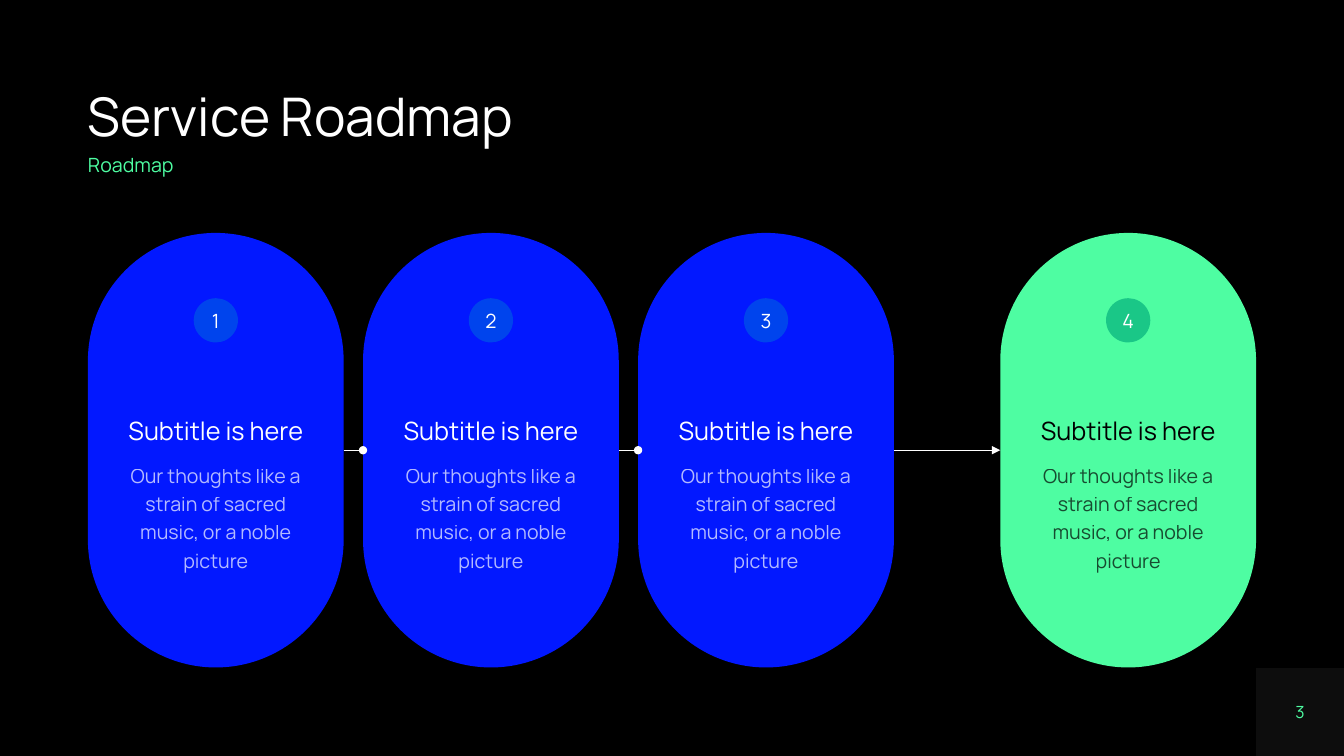
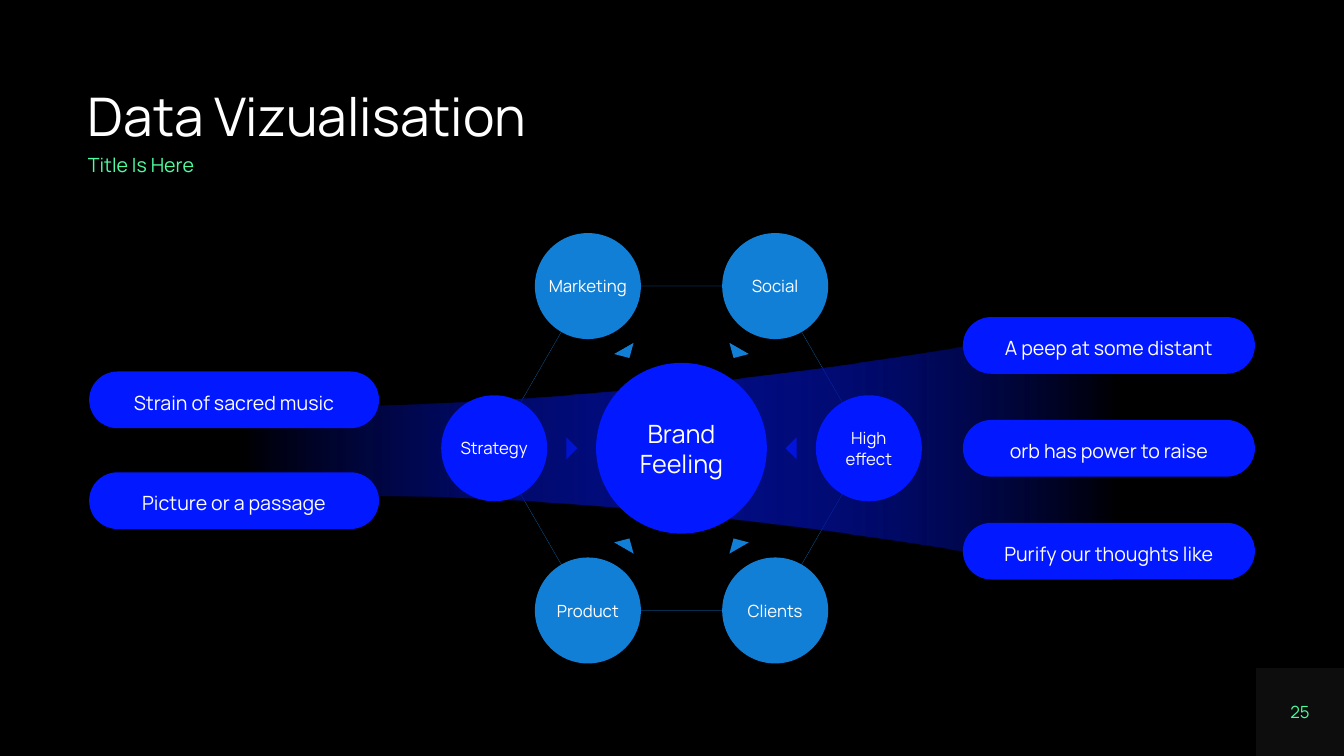
import math
from dataclasses import dataclass

import lxml.etree
import pptx
import pptx.dml.color
import pptx.enum.shapes
import pptx.enum.text
import pptx.oxml.ns
import pptx.util

Pt = pptx.util.Pt
RGB = pptx.dml.color.RGBColor
qn = pptx.oxml.ns.qn
PRESET = pptx.enum.shapes.MSO_SHAPE
ALIGN = pptx.enum.text.PP_ALIGN
ANCHOR = pptx.enum.text.MSO_ANCHOR

# Shared look
BLACK = RGB(0x00, 0x00, 0x00)
WHITE = RGB(0xFF, 0xFF, 0xFF)
GREY = RGB(0x80, 0x80, 0x80)
BLUE = RGB(0x02, 0x18, 0xFF)
BADGE_BLUE = RGB(0x00, 0x44, 0xED)
SKY = RGB(0x11, 0x7F, 0xD6)
GREEN = RGB(0x4E, 0xFD, 0xA2)
BADGE_GREEN = RGB(0x1A, 0xC7, 0x87)
FONT = "Manrope"
WIDTH, HEIGHT, MARGIN = 960, 540, 62.8

Point = tuple[float, float]


@dataclass
class Step:
    left: float
    fill: RGB
    badge_fill: RGB
    text_color: RGB
    arrowhead: str = ""


@dataclass
class Satellite:
    label: str
    angle: int
    color: RGB


@dataclass
class PillStack:
    left: float
    width: float
    middle: float
    pitch: float
    labels: list[str]


# Roadmap
STEP_WIDTH, STEP_HEIGHT, STEP_TOP, STEP_PITCH = 182.7, 310.4, 166.4, 196.5
BADGE_SIZE, BADGE_TOP = 31.6, 213
STEPS = [Step(MARGIN + i * STEP_PITCH, BLUE, BADGE_BLUE, WHITE, head)
         for i, head in enumerate(["oval", "oval", "triangle"])]
STEPS.append(Step(WIDTH - MARGIN - STEP_WIDTH, GREEN, BADGE_GREEN, BLACK))

# Hub diagram
HUB_X, HUB_Y, HUB_SIZE = 486.8, 320.2, 122
ORBIT, SATELLITE_SIZE, PILL_HEIGHT = 133.8, 75.7, 40.5
POINTER = [(74.4, 0), (82.3, -8), (82.3, 8)]
SATELLITES = [
    Satellite("High effect", 0, BLUE),
    Satellite("Clients", 60, SKY),
    Satellite("Product", 120, SKY),
    Satellite("Strategy", 180, BLUE),
    Satellite("Marketing", 240, SKY),
    Satellite("Social", 300, SKY),
]
PILL_STACKS = [
    PillStack(63.7, 207.1, 321.6, 72,
              ["Strain of sacred music", "Picture or a passage"]),
    PillStack(687.8, 208.6, HUB_Y, 73.5,
              ["A peep at some distant", "orb has power to raise",
               "Purify our thoughts like"]),
]
BEAM_TOP = [(170.6, 291.6), (410.4, 290.9), (613.4, 264.2), (800.6, 226.8)]
BEAM_BOTTOM = [(800.6, 414), (559.4, 367.2), (348.5, 347.8), (170.6, 355.7)]


def add_child(parent, tag: str, **attributes):
    return lxml.etree.SubElement(parent, qn(tag), attributes)


def fade_last_color(shape, percent: int) -> None:
    color = list(shape.element.iter(qn("a:srgbClr")))[-1]
    add_child(color, "a:alpha", val=str(percent * 1000))


def write(shape, text: str, *, size: float, color: RGB, align=ALIGN.CENTER,
          spacing: float = 1.0, before: float = 0, wrap: bool = True,
          top_inset: float = 0, extra: bool = False) -> None:
    """Set the shape's text, or add one more paragraph if extra."""
    frame = shape.text_frame
    if extra:
        paragraph = frame.add_paragraph()
    else:
        paragraph = frame.paragraphs[0]
        frame.auto_size = pptx.enum.text.MSO_AUTO_SIZE.NONE
        frame.word_wrap = wrap
        frame.vertical_anchor = ANCHOR.MIDDLE
        frame.margin_left = frame.margin_right = frame.margin_bottom = 0
        frame.margin_top = Pt(top_inset)
    paragraph.alignment = align
    paragraph.line_spacing = spacing
    paragraph.space_before = Pt(before)
    run = paragraph.add_run()
    run.text = text
    run.font.name = FONT
    run.font.size = Pt(size)
    run.font.color.rgb = color


def place(shape, left: float, top: float, width: float, height: float) -> None:
    shape.left, shape.top = Pt(left), Pt(top)
    shape.width, shape.height = Pt(width), Pt(height)


def add_preset(slide, preset, left: float, top: float, width: float,
               height: float, fill: RGB):
    shape = slide.shapes.add_shape(preset, Pt(left), Pt(top), Pt(width), Pt(height))
    shape.shadow.inherit = False
    shape.fill.solid()
    shape.fill.fore_color.rgb = fill
    shape.line.fill.background()
    if preset == PRESET.ROUNDED_RECTANGLE:
        shape.adjustments[0] = 0.5
    return shape


def add_circle(slide, x: float, y: float, size: float, fill: RGB):
    return add_preset(slide, PRESET.OVAL, x - size / 2, y - size / 2, size, size, fill)


def add_outline(slide, points: list[Point]):
    corners = [(Pt(x), Pt(y)) for x, y in points]
    builder = slide.shapes.build_freeform(*corners[0])
    builder.add_line_segments(corners[1:], close=True)
    shape = builder.convert_to_shape()
    shape.shadow.inherit = False
    return shape


def add_arrow(slide, start: float, end: float, y: float, head: str) -> None:
    arrow = slide.shapes.add_connector(
        pptx.enum.shapes.MSO_CONNECTOR.STRAIGHT, Pt(start), Pt(y), Pt(end), Pt(y))
    arrow.line.color.rgb = WHITE
    arrow.line.width = Pt(0.5)
    properties = arrow.element.spPr
    add_child(properties.find(qn("a:ln")), "a:tailEnd", type=head)
    add_child(properties, "a:effectLst")


def add_page(deck, title: str, subtitle: str, number: str):
    """Start a slide with its title, subtitle and page number."""
    slide = deck.slides.add_slide(deck.slide_layouts[0])
    corner = add_preset(slide, PRESET.RECTANGLE, WIDTH - MARGIN, HEIGHT - MARGIN,
                        MARGIN, MARGIN, GREY)
    fade_last_color(corner, 10)
    write(corner, number, size=12, color=GREEN)

    heading, subheading = slide.placeholders
    place(heading, MARGIN, 64.1, WIDTH - 2 * MARGIN, 41.8)
    write(heading, title, size=38, color=WHITE, align=ALIGN.LEFT, spacing=0.9)
    place(subheading, MARGIN, 111.4, 151.2, 15.1)
    write(subheading, subtitle, size=14, color=GREEN, align=ALIGN.LEFT, spacing=0.9)
    return slide


def around_hub(x: float, y: float, angle: int) -> Point:
    turn = math.radians(angle)
    return (HUB_X + x * math.cos(turn) - y * math.sin(turn),
            HUB_Y + x * math.sin(turn) + y * math.cos(turn))


def curve(controls: list[Point], pieces: int = 24) -> list[Point]:
    """Sample a cubic Bezier curve."""
    def at(t: float, axis: int) -> float:
        return sum(math.comb(3, k) * (1 - t) ** (3 - k) * t ** k * control[axis]
                   for k, control in enumerate(controls))
    return [(at(i / pieces, 0), at(i / pieces, 1)) for i in range(pieces + 1)]


def add_beam(slide) -> None:
    beam = add_outline(slide, curve(BEAM_TOP) + curve(BEAM_BOTTOM))
    beam.line.fill.background()
    beam.fill.gradient()
    beam.fill.gradient_angle = 0
    stops = beam.element.spPr.find(".//" + qn("a:gsLst"))
    for stop in list(stops):
        stops.remove(stop)
    for position, color, opacity in [(0, BLACK, 100), (52, BLUE, 50), (100, BLACK, 100)]:
        stop = add_child(stops, "a:gs", pos=str(position * 1000))
        tint = add_child(stop, "a:srgbClr", val=str(color))
        add_child(tint, "a:alpha", val=str(opacity * 1000))


def build_roadmap(deck) -> None:
    slide = add_page(deck, "Service Roadmap", "Roadmap", "3")
    for number, step in enumerate(STEPS, 1):
        pill = add_preset(slide, PRESET.ROUNDED_RECTANGLE, step.left, STEP_TOP,
                          STEP_WIDTH, STEP_HEIGHT, step.fill)
        write(pill, "Subtitle is here", size=18, color=step.text_color,
              spacing=1.2, top_inset=57.6)
        write(pill, "Our thoughts like a strain of sacred music, or a noble picture",
              size=14, color=step.text_color, spacing=1.2, before=10, extra=True)
        fade_last_color(pill, 70)
        badge = add_circle(slide, step.left + STEP_WIDTH / 2,
                           BADGE_TOP + BADGE_SIZE / 2, BADGE_SIZE, step.badge_fill)
        write(badge, str(number), size=14, color=WHITE)

    # Links between neighbouring steps
    for step, following in zip(STEPS, STEPS[1:]):
        add_arrow(slide, step.left + STEP_WIDTH, following.left,
                  STEP_TOP + STEP_HEIGHT / 2, step.arrowhead)


def build_hub(deck) -> None:
    slide = add_page(deck, "Data Vizualisation", "Title Is Here", "25")

    # Hexagon, pointers and beam lie behind the circles
    hexagon = add_outline(slide, [around_hub(ORBIT, 0, s.angle) for s in SATELLITES])
    hexagon.fill.background()
    hexagon.line.color.rgb = SKY
    hexagon.line.width = Pt(0.1)
    for satellite in SATELLITES:
        pointer = add_outline(
            slide, [around_hub(x, y, satellite.angle) for x, y in POINTER])
        pointer.fill.solid()
        pointer.fill.fore_color.rgb = satellite.color
        pointer.line.fill.background()
    add_beam(slide)

    # Hub and satellites
    hub = add_circle(slide, HUB_X, HUB_Y, HUB_SIZE, BLUE)
    write(hub, "Brand Feeling", size=18, color=WHITE)
    for satellite in SATELLITES:
        circle = add_circle(slide, *around_hub(ORBIT, 0, satellite.angle),
                            SATELLITE_SIZE, satellite.color)
        write(circle, satellite.label, size=12, color=WHITE,
              wrap=" " in satellite.label)

    # Side pills, spread evenly about each stack's middle
    for stack in PILL_STACKS:
        first = stack.middle - ((len(stack.labels) - 1) * stack.pitch + PILL_HEIGHT) / 2
        for i, label in enumerate(stack.labels):
            pill = add_preset(slide, PRESET.ROUNDED_RECTANGLE, stack.left,
                              first + i * stack.pitch, stack.width, PILL_HEIGHT, BLUE)
            write(pill, label, size=14, color=WHITE, spacing=1.2)


def main() -> None:
    deck = pptx.Presentation()
    deck.slide_width, deck.slide_height = Pt(WIDTH), Pt(HEIGHT)
    backdrop = deck.slide_master.background.fill
    backdrop.solid()
    backdrop.fore_color.rgb = BLACK
    build_roadmap(deck)
    build_hub(deck)
    deck.save("out.pptx")


if __name__ == "__main__":
    main()
